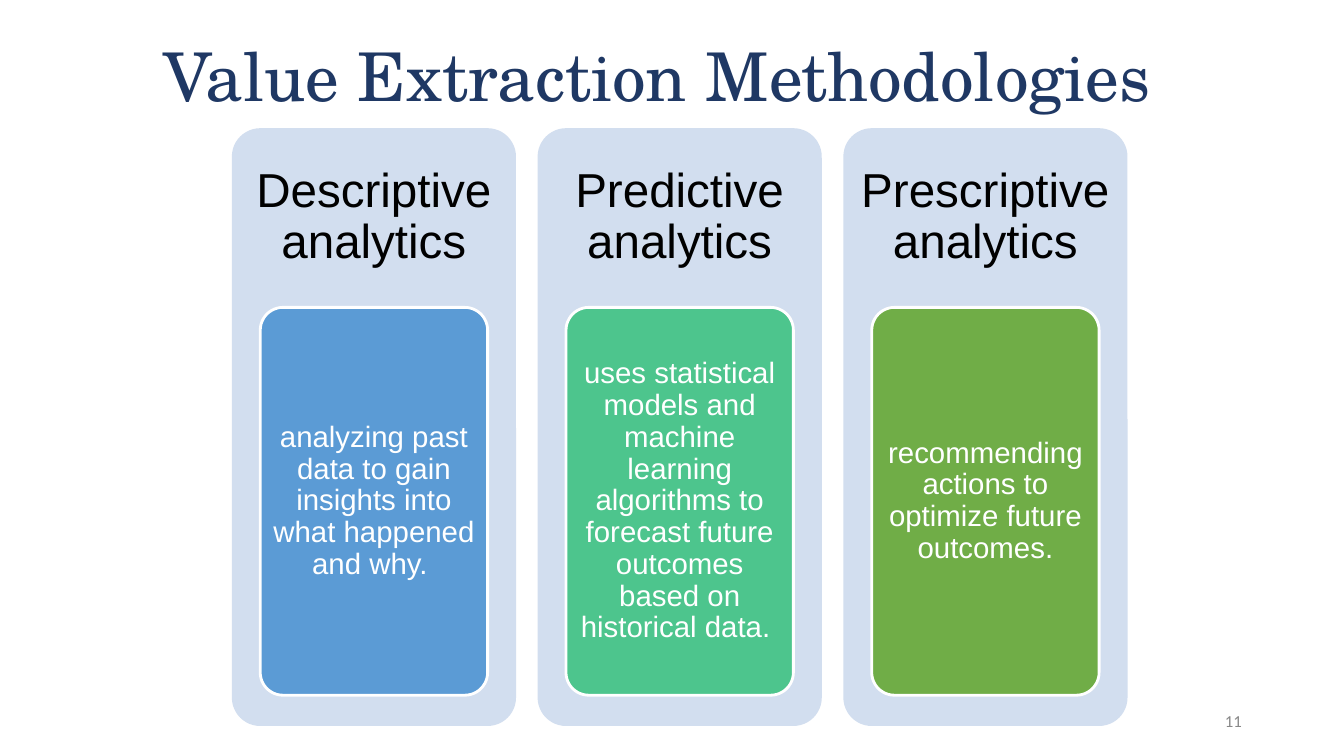
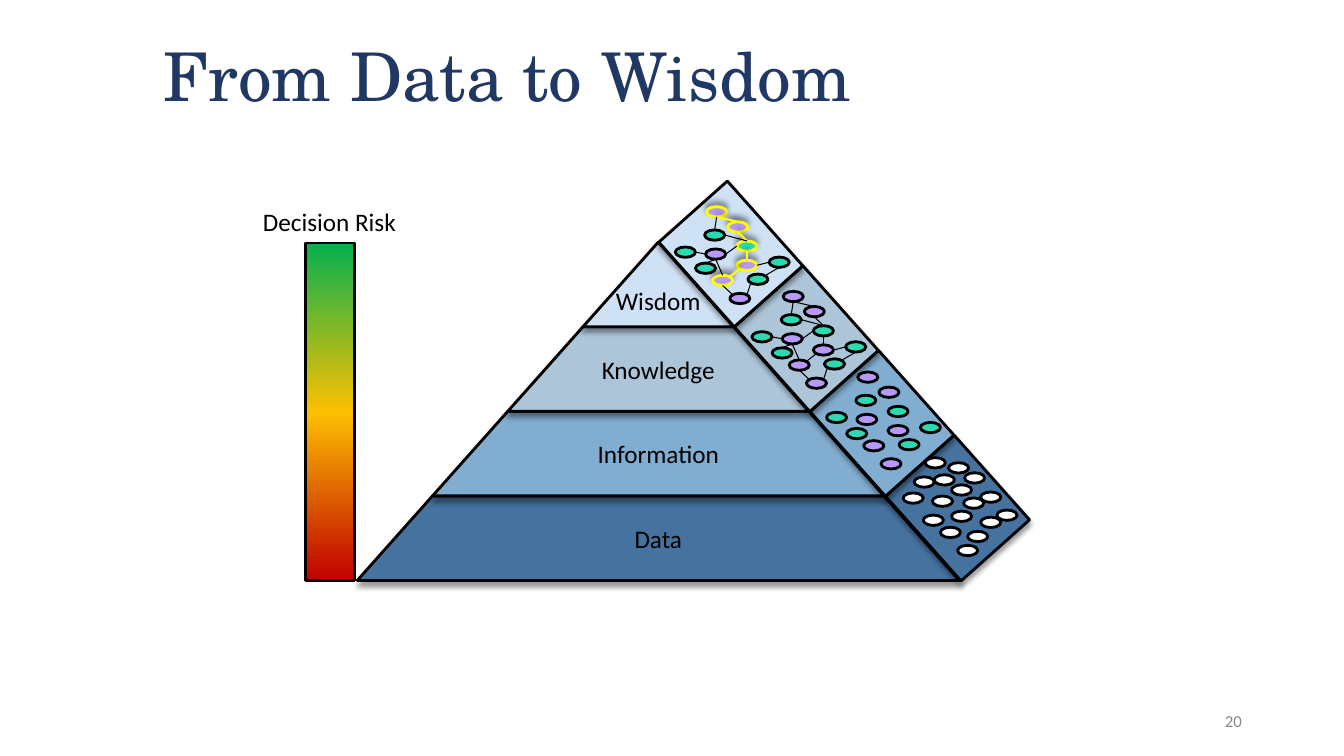
from pptx import Presentation
from pptx.dml.color import RGBColor
from pptx.enum.shapes import MSO_CONNECTOR, MSO_SHAPE
from pptx.enum.text import MSO_ANCHOR, PP_ALIGN
from pptx.oxml import parse_xml
from pptx.oxml.ns import nsdecls
from pptx.util import Pt

LEFT, MID, RIGHT = PP_ALIGN.LEFT, PP_ALIGN.CENTER, PP_ALIGN.RIGHT
CENTER = MSO_ANCHOR.MIDDLE
RECT, ROUND, OVAL = MSO_SHAPE.RECTANGLE, MSO_SHAPE.ROUNDED_RECTANGLE, MSO_SHAPE.OVAL
STRAIGHT = MSO_CONNECTOR.STRAIGHT

HUES = {
    "navy": "1F3864", "gray": "888888", "black": "000000", "white": "FFFFFF",
    "card": "D2DEEF", "blue": "5B9BD5", "mint": "4DC58D", "leaf": "70AD47",
    "sky": "CFE1F5", "mist": "ACC5D9", "steel": "81ADD0", "deep": "46729F",
    "teal": "2DD9B1", "lilac": "B799FB", "yellow": "FFFF00",
}
HEAD, SANS, BODY = "TeX Gyre Schola", "Arial", "Calibri"
INSET = (7.2, 3.6, 7.2, 3.6)

# Slide 1 content
CARDS = [
    ("Descriptive analytics", "blue",
     "analyzing past data to gain insights into what happened and why. "),
    ("Predictive analytics", "mint",
     "uses statistical models and machine learning algorithms to forecast "
     "future outcomes based on historical data. "),
    ("Prescriptive analytics", "leaf",
     "recommending actions to optimize future outcomes."),
]

# Slide 2 content: levels from the top, each with the origin of its dots
LEVELS = [
    ("Wisdom", "sky", (482.4, 147.6)),
    ("Knowledge", "mist", (537.1, 208.1)),
    ("Information", "steel", (590.4, 265.7)),
    ("Data", "deep", (645.1, 326.9)),
]
RISK = [(0, "05B04E"), (50, "FCC001"), (100, "C00000")]
NODES = {
    "A": (20.9, 16.6, "teal"), "B": (14.4, 40.3, "teal"),
    "C": (26.6, 49, "lilac"), "D": (67, 36, "teal"),
    "E": (51.8, 48.2, "teal"), "F": (38.9, 61.9, "lilac"),
    "G": (43.9, 38.2, "lilac"), "H": (37.4, 10.8, "lilac"),
    "I": (21.6, 30.2, "lilac"), "J": (43.9, 24.5, "teal"),
    "K": (22.3, 0, "lilac"), "L": (0, 28.8, "teal"),
}
TRAIL = "CGJHK"  # the highlighted path through the nodes
LINKS = [  # node and side, to node and side
    ("F", "tr", "E", "bl"), ("C", "tr", "G", "bl"), ("E", "tr", "D", "b"),
    ("G", "r", "D", "l"), ("G", "t", "J", "b"), ("C", "t", "I", "b"),
    ("I", "b", "B", "t"), ("I", "r", "J", "l"), ("J", "t", "H", "b"),
    ("J", "t", "A", "r"), ("I", "l", "L", "r"), ("H", "t", "K", "b"),
    ("K", "b", "A", "t"), ("C", "b", "F", "tl"),
]
SITES = {"t": (.5, 0), "b": (.5, 1), "l": (0, .5), "r": (1, .5),
         "tl": (.15, .15), "tr": (.85, .15), "bl": (.15, .85)}
RAW = [
    (0, 25.2), (22.3, 12.2), (20.9, 27.4), (34.6, 19.4), (43.9, 10.8),
    (55.4, 24.5), (15.8, 0), (7.9, 13.7), (32.4, 3.6), (14.4, 41),
    (26.6, 49.7), (34.6, 38.2), (43.2, 28.8), (55.4, 42.5), (67, 37.4),
    (46.1, 52.6), (38.9, 62.6),
]
DOT_W, DOT_H = 14.4, 7.4


def rgb(name):
    return RGBColor.from_string(HUES[name])


def write(shape, text, size, font, hue, align=LEFT, inset=INSET, space=None,
          wrap=True):
    frame = shape.text_frame
    frame.word_wrap, frame.vertical_anchor = wrap, CENTER
    (frame.margin_left, frame.margin_top,
     frame.margin_right, frame.margin_bottom) = map(Pt, inset)
    para = frame.paragraphs[0]
    para.text, para.alignment = text, align
    if space:
        para.line_spacing = space
    para.font.size, para.font.name = Pt(size), font
    para.font.color.rgb = rgb(hue)


def label(slide, box, *args, **style):
    write(slide.shapes.add_textbox(*map(Pt, box)), *args, **style)


def shade(shape, angle=None):
    """Set the shadow direction in degrees, or no shadow."""
    glow = "" if angle is None else (
        f'<a:outerShdw blurRad="{Pt(4)}" dist="{Pt(3)}" dir="{angle * 60000}" '
        'algn="ctr" rotWithShape="0"><a:srgbClr val="000000">'
        '<a:alpha val="40000"/></a:srgbClr></a:outerShdw>')
    shape._element.spPr.append(parse_xml(
        f'<a:effectLst {nsdecls("a")}>{glow}</a:effectLst>'))


def paint(shape, fill=None, line=None, width=2, angle=None):
    if fill:
        shape.fill.solid()
        shape.fill.fore_color.rgb = rgb(fill)
    if line:
        shape.line.color.rgb = rgb(line)
        shape.line.width = Pt(width)
    else:
        shape.line.fill.background()
    shade(shape, angle)
    return shape


def add(slide, kind, box, *args, **style):
    return paint(slide.shapes.add_shape(kind, *map(Pt, box)), *args, **style)


def start(deck, title, number):
    slide = deck.slides.add_slide(deck.slide_layouts[6])
    label(slide, (109.4, 5, 732.2, 104.4), title, 48, HEAD, "navy", space=.9)
    label(slide, (678.2, 500.4, 216, 28.8), number, 12, BODY, "gray", RIGHT)
    return slide


def methods(deck):
    slide = start(deck, "Value Extraction Methodologies", "11")
    top, wide, high, step, head = 91.6, 203, 427, 218.4, 128
    pad = 20.3
    for i, (name, hue, text) in enumerate(CARDS):
        left = 165.6 + i * step
        card = add(slide, ROUND, (left, top, wide, high), "card")
        card.adjustments[0] = .1
        write(card, name, 34, SANS, "black", MID,
              (4, 4, 4, high - head + 4), .9)
        tile = add(slide, ROUND, (left + pad, top + head, wide - 2 * pad, 277),
                   hue, "white")
        tile.adjustments[0] = .1
        write(tile, text, 21, SANS, "white", MID, (4.3,) * 4, .9)


def band(slide, i):
    """Draw one level of the pyramid."""
    name, hue, _ = LEVELS[i]
    mid, top, high, grow = 470.2, 173, 60.4, 53.75
    y, near, far = top + i * high, i * grow, (i + 1) * grow
    spots = [(mid + near, y), (mid + far, y + high), (mid - far, y + high)]
    if i:
        spots.append((mid - near, y))
    pen = slide.shapes.build_freeform(Pt(spots[0][0]), Pt(y))
    pen.add_line_segments([(Pt(a), Pt(b)) for a, b in spots[1:]])
    shape = paint(pen.convert_to_shape(), hue, "black", angle=90)
    inset = INSET if i else (7.2, 25.6, 7.2, 3.6)
    write(shape, name, 18, BODY, "black", MID, inset)


def net(slide, base, linked, lit):
    """Draw the nodes of a panel, then the links between them."""
    for key, (x, y, hue) in NODES.items():
        hot = lit and key in TRAIL
        add(slide, OVAL, (base[0] + x, base[1] + y, DOT_W, DOT_H), hue,
            "yellow" if hot else "black", angle=270 if hot else None)
    for one, side, two, end in LINKS if linked else []:
        ends = []
        for key, site in ((one, side), (two, end)):
            x, y, _ = NODES[key]
            u, v = SITES[site]
            ends += [Pt(base[0] + x + u * DOT_W), Pt(base[1] + y + v * DOT_H)]
        hot = lit and one in TRAIL and two in TRAIL
        wire = slide.shapes.add_connector(STRAIGHT, *ends)
        wire.line.color.rgb = rgb("yellow" if hot else "black")
        wire.line.width = Pt(1.5 if hot else .75)
        shade(wire, 270 if hot else None)


def wisdom(deck):
    slide = start(deck, "From Data to Wisdom", "20")
    order = range(len(LEVELS) - 1, -1, -1)
    for i in order:
        band(slide, i)

    # Risk scale
    bar = add(slide, RECT, (218.2, 173.5, 35.3, 241.2), None, "black")
    stops = "".join(f'<a:gs pos="{at * 1000}"><a:srgbClr val="{hue}"/></a:gs>'
                    for at, hue in RISK)
    bar._element.spPr.insert(2, parse_xml(
        f'<a:gradFill {nsdecls("a")} rotWithShape="1"><a:gsLst>{stops}'
        '</a:gsLst><a:lin ang="5400000" scaled="0"/></a:gradFill>'))
    label(slide, (180.7, 144, 110.9, 28.8), "Decision Risk", 18, BODY, "black",
          wrap=False)

    # Side panels along the right edge
    wide, high = 65.6, 81
    for i in order:
        x, y = 522 + 54 * i, 181.4 + 60.5 * i
        panel = add(slide, RECT, (x - wide / 2, y - high / 2, wide, high),
                    LEVELS[i][1], "black", angle=90)
        panel.rotation = 318.3
    for i in order:
        base = LEVELS[i][2]
        if i < 3:
            net(slide, base, i < 2, i == 0)
            continue
        for x, y in RAW:
            add(slide, OVAL, (base[0] + x, base[1] + y, DOT_W, DOT_H),
                "white", "black")


def main():
    deck = Presentation()
    deck.slide_width, deck.slide_height = Pt(960), Pt(540)
    methods(deck)
    wisdom(deck)
    deck.save("out.pptx")


if __name__ == "__main__":
    main()
